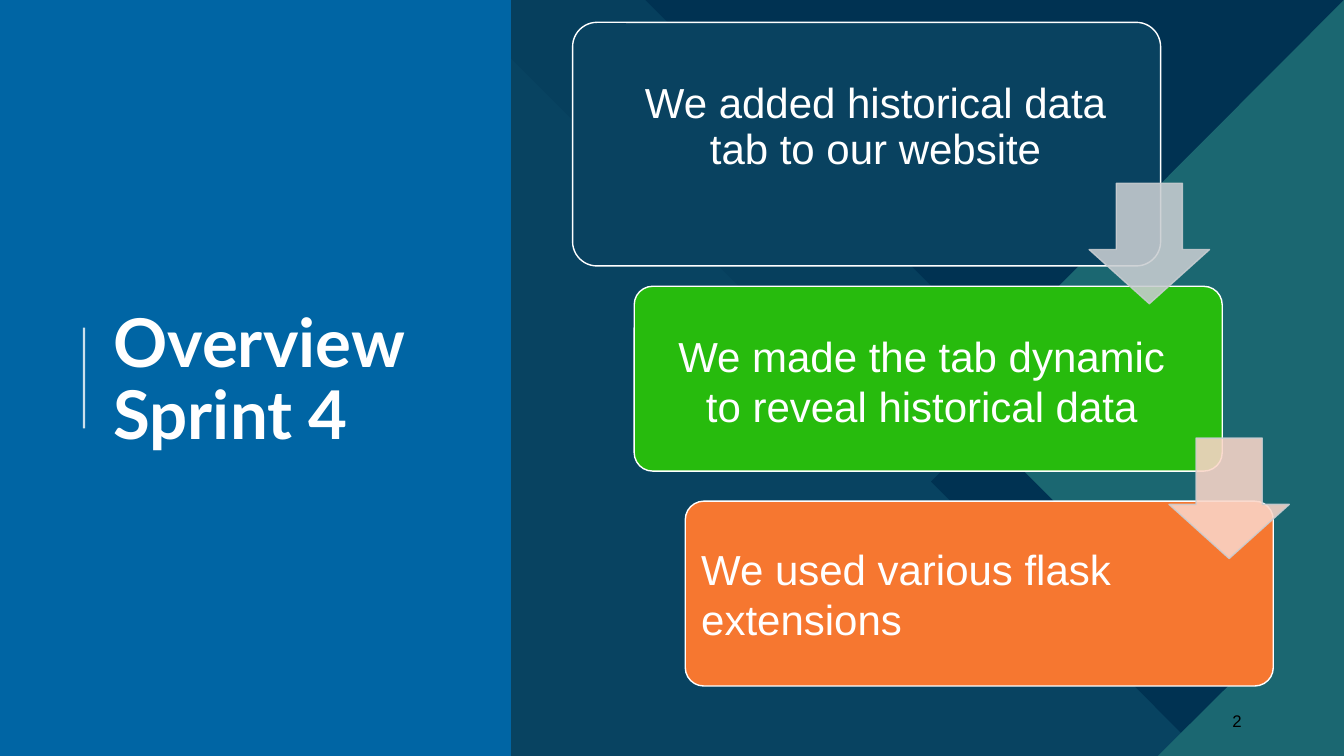
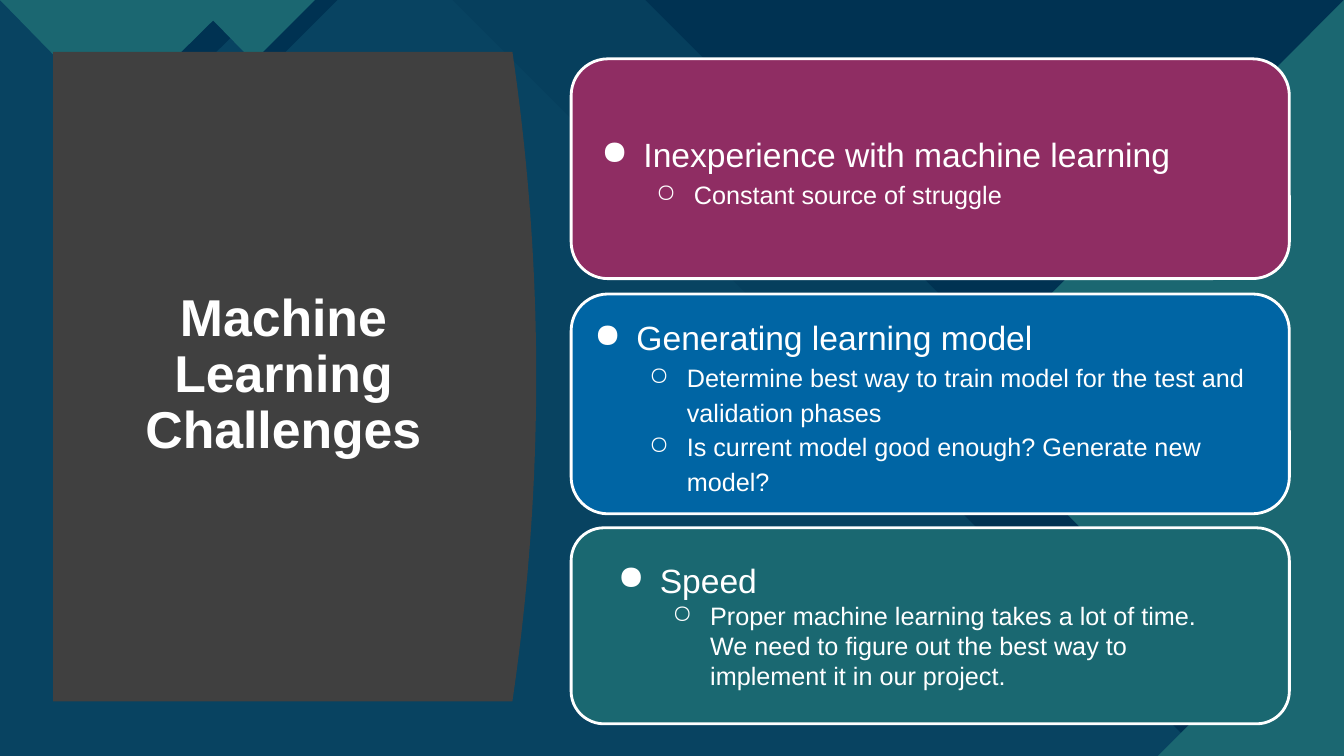
from dataclasses import dataclass

from lxml import etree
from pptx import Presentation
from pptx import util as u
from pptx.dml.color import RGBColor
from pptx.enum import shapes, text
from pptx.oxml.ns import qn

Pt = u.Pt
KIND = shapes.MSO_SHAPE
LEFT, CENTER, RIGHT = text.PP_ALIGN.LEFT, text.PP_ALIGN.CENTER, text.PP_ALIGN.RIGHT
TOP, MIDDLE = text.MSO_ANCHOR.TOP, text.MSO_ANCHOR.MIDDLE
WIDTH, HEIGHT = 960, 540


@dataclass(frozen=True)
class Theme:
    base: str = "0C4360"
    navy: str = "003252"
    teal: str = "1B6771"
    aqua: str = "47C3D3"
    blue: str = "0065A4"
    slate: str = "094260"
    green: str = "27BB0D"
    orange: str = "F67730"
    plum: str = "8F2D63"
    sea: str = "1A6871"
    charcoal: str = "404040"
    silver: str = "C9CDD1"
    peach: str = "FAD5C8"
    white: str = "FFFFFF"
    black: str = "000000"
    body_font: str = "Arial"
    title_font: str = "Lato"
    title: int = 48
    panel_title: int = 37
    step: int = 30
    point: int = 24
    detail: int = 18
    number: int = 12


T = Theme()

# Backdrop: colour, opacity in percent, corners
BACKDROP = [
    (T.aqua, 72, [(0, 0), (595, 0), (809, 214), (889, 214), (960, 285), (960, 540), (0, 540)]),
    (T.aqua, 100, [(0, 0), (323, 0), (537, 214), (628, 214), (954, 540), (0, 540)]),
    (T.navy, 100, [(461, 0), (960, 0), (960, 499)]),
    (T.navy, 88, [(0, 0), (500, 0), (714, 214), (805, 214), (960, 369), (960, 540), (0, 540)]),
    (T.navy, 100, [(960, 49), (960, 540), (860, 540), (665, 344)]),
    (T.teal, 100, [(960, 0), (960, 540), (935, 540), (678, 283)]),
    (T.teal, 100, [(960, 408), (960, 540), (827, 540)]),
    (T.navy, 100, [(21, 0), (106, 85), (192, 0)]),
    (T.teal, 100, [(0, 0), (82, 84), (167, 0)]),
    (T.navy, 100, [(150, 0), (196, 45), (241, 0)]),
    (T.teal, 100, [(138, 0), (181, 44), (225, 0)]),
]

# Sprint steps: text, fill, box, margins (left, top, right, bottom), alignment, line spacing
STEPS = [
    ("We added historical data tab to our website", T.slate,
     (409, 16, 420, 174), (40, 18, 27, 41), CENTER, 0.9),
    ("We made the tab dynamic to reveal historical data", T.green,
     (453, 204.5, 420, 132), (14, 3, 23, 0), CENTER, 1.0),
    ("We used various flask extensions", T.orange,
     (489.5, 358, 420, 132), (7.5, 0, 77, 0), LEFT, 1.0),
]
ARROWS = [(T.silver, 778, 131), (T.peach, 835, 313)]
ARROW_SIZE = 86

# Challenge cards: point, details, fill, top, height, margins, anchor, line spacing
CARDS = [
    ("Inexperience with machine learning", ["Constant source of struggle"],
     T.plum, 42, 157, (8, 0, 8, 0), MIDDLE, 1.15),
    ("Generating learning model",
     ["Determine best way to train model for the test and validation phases",
      "Is current model good enough? Generate new model?"],
     T.blue, 210, 157, (3, 0, 13, 0), MIDDLE, 1.15),
    ("Speed",
     ["Proper machine learning takes a lot of time. We need to figure out "
      "the best way to implement it in our project."],
     T.sea, 377, 140, (20.5, 16, 28, 0), TOP, 1.0),
]
CARD_LEFT, CARD_WIDTH = 408, 513

# Bullet levels: mark, text indent, hanging indent, type size
BULLETS = [("●", 36, -30, T.point), ("○", 72, -27, T.detail)]


def rgb(value):
    return RGBColor.from_string(value)


def set_alpha(s, percent):
    for color in list(s.element.spPr.iter(qn("a:srgbClr"))):
        etree.SubElement(color, qn("a:alpha"), val=str(percent * 1000))


def paint(s, fill, line=None, width=1, alpha=100):
    s.shadow.inherit = False
    s.fill.solid()
    s.fill.fore_color.rgb = rgb(fill)
    if line:
        s.line.color.rgb = rgb(line)
        s.line.width = Pt(width)
    else:
        s.line.fill.background()
    if alpha < 100:
        set_alpha(s, alpha)
    return s


def add_shape(slide, kind, box, adjustments=(), **look):
    s = slide.shapes.add_shape(kind, *map(Pt, box))
    for i, value in enumerate(adjustments):
        s.adjustments[i] = value
    return paint(s, **look)


def add_polygon(slide, points, **look):
    corners = [(Pt(x), Pt(y)) for x, y in points]
    builder = slide.shapes.build_freeform(*corners[0], scale=1.0)
    builder.add_line_segments(corners[1:], close=True)
    return paint(builder.convert_to_shape(), **look)


def set_bullet(p, mark, indent, hanging):
    pPr = p._p.get_or_add_pPr()
    pPr.set("marL", str(Pt(indent)))
    pPr.set("indent", str(Pt(hanging)))
    color = etree.SubElement(pPr, qn("a:buClr"))
    etree.SubElement(color, qn("a:srgbClr"), val=T.white)
    etree.SubElement(pPr, qn("a:buChar"), char=mark)


def write(s, lines, margins=(7.2, 3.6, 7.2, 3.6), anchor=MIDDLE, align=LEFT,
          spacing=1.0, color=T.white, font=T.body_font, bold=False):
    """Each line is (text, size) or (text, size, bullet level)."""
    tf = s.text_frame
    frame = dict(zip(("margin_left", "margin_top", "margin_right", "margin_bottom"),
                     map(Pt, margins)), word_wrap=True, vertical_anchor=anchor)
    for name, value in frame.items():
        setattr(tf, name, value)
    for i, (words, size, *level) in enumerate(lines):
        p = tf.add_paragraph() if i else tf.paragraphs[0]
        p.alignment, p.line_spacing = align, spacing
        if level:
            p.level = level[0]
            set_bullet(p, *BULLETS[level[0]][:3])
        r = p.add_run()
        r.text = words
        for name, value in dict(name=font, size=Pt(size), bold=bold).items():
            setattr(r.font, name, value)
        r.font.color.rgb = rgb(color)


def add_text(slide, box, words, size, **style):
    write(slide.shapes.add_textbox(*map(Pt, box)), [(words, size)], **style)


def add_slide(prs):
    slide = prs.slides.add_slide(prs.slide_layouts[6])
    slide.background.fill.solid()
    slide.background.fill.fore_color.rgb = rgb(T.base)
    for fill, alpha, points in BACKDROP:
        add_polygon(slide, points, fill=fill, alpha=alpha)
    return slide


def build_overview(prs):
    slide = add_slide(prs)

    # Title panel with its rule
    add_shape(slide, KIND.RECTANGLE, (0, 0, 365, HEIGHT), fill=T.blue)
    add_text(slide, (74, 56, 266, 433), "Overview Sprint 4", T.title,
             font=T.title_font, bold=True, spacing=0.9)
    rule = slide.shapes.add_connector(shapes.MSO_CONNECTOR.STRAIGHT,
                                      *map(Pt, (60, 234, 60, 306)))
    rule.line.color.rgb = rgb(T.white)
    rule.line.width = Pt(1.5)
    set_alpha(rule, 80)
    etree.SubElement(rule.element.spPr, qn("a:effectLst"))

    add_text(slide, (678, 500, 216, 29), "2", T.number, align=RIGHT, color=T.black)

    # Steps and the arrows between them
    for words, fill, box, margins, align, spacing in STEPS:
        s = add_shape(slide, KIND.ROUNDED_RECTANGLE, box, [0.1], fill=fill, line=T.white)
        write(s, [(words, T.step)], margins, align=align, spacing=spacing)
    for fill, left, top in ARROWS:
        add_shape(slide, KIND.DOWN_ARROW, (left, top, ARROW_SIZE, ARROW_SIZE),
                  [0.55, 0.45], fill=fill, line=T.silver, alpha=88)


def build_challenges(prs):
    slide = add_slide(prs)

    # Title panel with a bowed right edge
    left, right, middle, half, bow, count = 38, 383, 269, 232, 17, 40
    steps = [2 * i / count - 1 for i in range(count + 1)]
    edge = [(right - bow * t * t, middle + half * t) for t in steps]
    add_polygon(slide, [(left, middle - half), *edge, (left, middle + half)],
                fill=T.charcoal)
    add_text(slide, (68, 80, 269, 377), "Machine Learning Challenges", T.panel_title,
             bold=True, align=CENTER, spacing=0.9)

    # Challenge cards
    for point, details, fill, top, height, margins, anchor, spacing in CARDS:
        s = add_shape(slide, KIND.ROUNDED_RECTANGLE, (CARD_LEFT, top, CARD_WIDTH, height),
                      [0.167], fill=fill, line=T.white, width=2)
        levels = [(point, 0)] + [(detail, 1) for detail in details]
        write(s, [(words, BULLETS[level][3], level) for words, level in levels],
              margins, anchor, spacing=spacing)


def main():
    prs = Presentation()
    prs.slide_width, prs.slide_height = Pt(WIDTH), Pt(HEIGHT)
    build_overview(prs)
    build_challenges(prs)
    prs.save("out.pptx")


if __name__ == "__main__":
    main()
